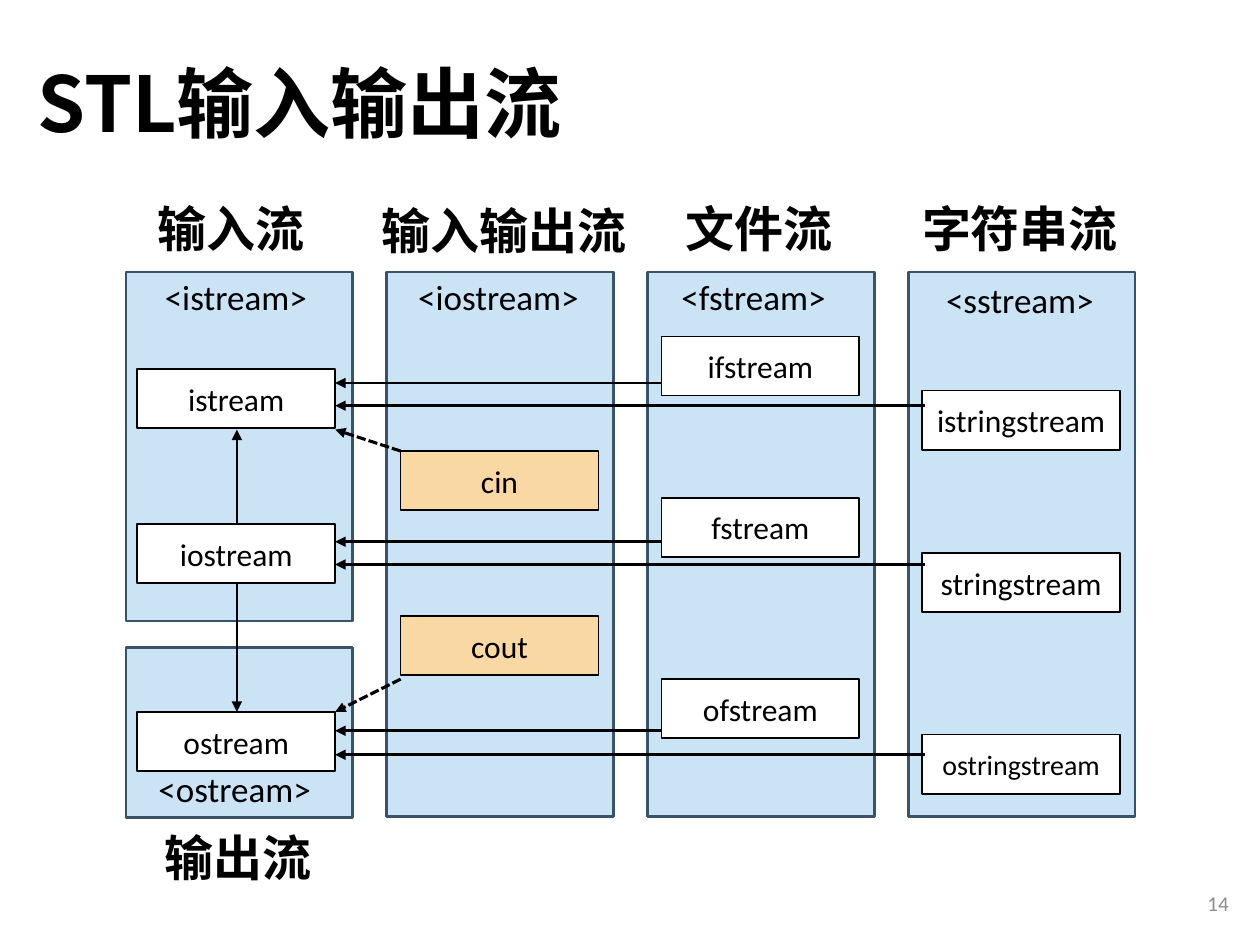
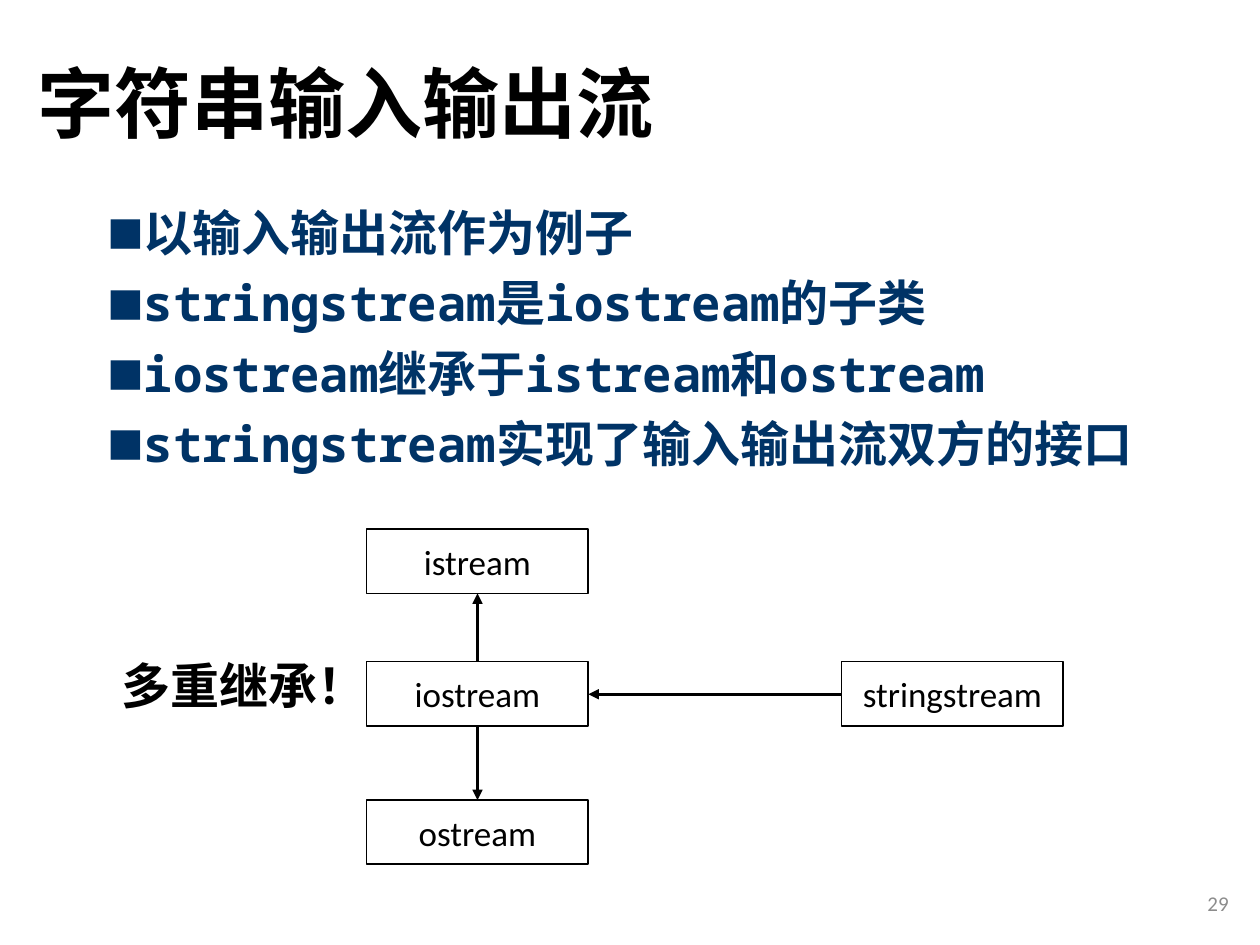
from lxml import etree
from pptx import Presentation
from pptx.dml.color import RGBColor
from pptx.enum.dml import MSO_LINE
from pptx.enum.shapes import MSO_CONNECTOR, MSO_SHAPE
from pptx.enum.text import MSO_ANCHOR, MSO_AUTO_SIZE, PP_ALIGN
from pptx.oxml.ns import qn
from pptx.util import Inches, Pt

RECT = MSO_SHAPE.RECTANGLE
LINE = MSO_CONNECTOR.STRAIGHT
DASH = MSO_LINE.SQUARE_DOT
MIDDLE = MSO_ANCHOR.MIDDLE
LEFT, CENTER, RIGHT = PP_ALIGN.LEFT, PP_ALIGN.CENTER, PP_ALIGN.RIGHT
COLORS = {"black": "000000", "white": "FFFFFF", "panel": "CAE4F6",
          "edge": "3A536D", "object": "F9D8A3", "body": "003366",
          "number": "8C8C8C"}
SANS, HAN, MONO = "Calibri", "Noto Sans CJK SC", "Noto Sans Mono"


def style(frame, size, color="black", bold=False, font=SANS, align=LEFT):
    for para in frame.paragraphs:
        para.alignment = align
        for run in para.runs:
            run.font.size = Pt(size)
            run.font.bold = bold
            run.font.name = font
            run.font.color.rgb = RGBColor.from_string(COLORS[color])
            latin = run._r.get_or_add_rPr().find(qn("a:latin"))
            east = etree.Element(qn("a:ea"), typeface=HAN)
            latin.addnext(east)


def box(slide, x, y, w, h, fill, edge="black", width=1, text="", size=18):
    shape = slide.shapes.add_shape(RECT, Inches(x), Inches(y), Inches(w), Inches(h))
    shape.shadow.inherit = False
    shape.fill.solid()
    shape.fill.fore_color.rgb = RGBColor.from_string(COLORS[fill])
    shape.line.color.rgb = RGBColor.from_string(COLORS[edge])
    shape.line.width = Pt(width)
    shape.text_frame.text = text
    shape.text_frame.vertical_anchor = MIDDLE
    style(shape.text_frame, size, align=CENTER)


deck = Presentation()
deck.slide_width, deck.slide_height = Inches(10), Inches(7.5)

# Titles and page numbers
slides = []
for layout, text, page in [(5, "STL输入输出流", "14"), (1, "字符串输入输出流", "29")]:
    slide = deck.slides.add_slide(deck.slide_layouts[layout])
    slides.append(slide)
    title = slide.shapes.title
    title.left, title.top = Inches(0.2), Inches(0.13)
    title.width, title.height = Inches(8.62), Inches(1.45)
    frame = title.text_frame
    frame.text = text
    frame.auto_size = MSO_AUTO_SIZE.NONE
    frame.vertical_anchor = MIDDLE
    frame.paragraphs[0].line_spacing = 0.9
    style(frame, 44, bold=True, font=HAN)

    number = slide.shapes.add_textbox(Inches(7.6), Inches(6.97), Inches(2.25), Inches(0.4))
    number.text_frame.text = page
    number.text_frame.word_wrap = True
    number.text_frame.vertical_anchor = MIDDLE
    style(number.text_frame, 12, "number", align=RIGHT)
streams, strings = slides

# Header panels: four equal columns, the first split in two
cols = [1 + 2.07 * i for i in range(4)]
panels = [(cols[0], 2.16, 2.77), (cols[0], 5.14, 1.35)]
panels += [(x, 2.16, 4.32) for x in cols[1:]]
for x, y, h in panels:
    box(streams, x, y, 1.8, h, "panel", "edge", 1.5)

# Classes and objects, by column
groups = [
    (1.09, "white", [("istream", 2.93), ("iostream", 4.16), ("ostream", 5.65)]),
    (3.18, "object", [("cin", 3.58), ("cout", 4.89)]),
    (5.25, "white", [("ifstream", 2.67), ("fstream", 3.95), ("ofstream", 5.39)]),
    (7.32, "white", [("istringstream", 3.1), ("stringstream", 4.39),
                     ("ostringstream", 5.83)]),
]
for x, fill, names in groups:
    for name, y in names:
        size = 16 if name == "ostringstream" else 18
        box(streams, x, y, 1.57, 0.47, fill, text=name, size=size)

# Bullets
body = strings.placeholders[1]
body.left, body.top = Inches(0.75), Inches(1.61)
body.width, body.height = Inches(8.8), Inches(5.19)
frame = body.text_frame
frame.text = "\n".join([
    "以输入输出流作为例子",
    "stringstream是iostream的子类",
    "iostream继承于istream和ostream",
    "stringstream实现了输入输出流双方的接口",
])
frame.auto_size = MSO_AUTO_SIZE.NONE
style(frame, 28, "body", True, MONO)
for para in frame.paragraphs:
    para.line_spacing = 0.9
    para.space_before = Pt(10)
    props = para._p.get_or_add_pPr()
    props.set("marL", str(Inches(0.25)))
    props.set("indent", str(Inches(-0.25)))
    etree.SubElement(props, qn("a:buSzPct"), val="75000")
    etree.SubElement(props, qn("a:buFont"), typeface=HAN)
    etree.SubElement(props, qn("a:buChar"), char="■")

# Inheritance boxes
for name, x, y in [("istream", 2.91, 4.2), ("iostream", 2.91, 5.25),
                   ("ostream", 2.91, 6.35), ("stringstream", 6.68, 5.25)]:
    box(strings, x, y, 1.76, 0.51, "white", text=name, size=20)

# Free labels: headers are regular, captions are bold
labels = [
    (streams, 20, 0.44, [("<istream>", 1.21, 2.14, 1.34), ("<iostream>", 3.22, 2.14, 1.49),
                         ("<fstream>", 5.31, 2.14, 1.36), ("<sstream>", 7.41, 2.16, 1.39),
                         ("<ostream>", 1.16, 6.04, 1.43)]),
    (streams, 28, 0.57, [("输入流", 1.15, 1.53, 1.38), ("输入输出流", 2.93, 1.54, 2.17),
                         ("文件流", 5.34, 1.53, 1.38), ("字符串流", 7.22, 1.53, 1.77),
                         ("输出流", 1.21, 6.52, 1.38)]),
    (strings, 28, 0.57, [("多重继承！", 0.87, 5.15, 2.17)]),
]
for slide, size, h, items in labels:
    for text, x, y, w in items:
        label = slide.shapes.add_textbox(Inches(x), Inches(y), Inches(w), Inches(h))
        label.text_frame.text = text
        label.text_frame.word_wrap = False
        style(label.text_frame, size, bold=size == 28)

# Arrows, each from the derived class to its base
arrows = [(streams, 5.25, y, 2.66, y, False) for y in (3.04, 4.3, 5.8)]
arrows += [(streams, 7.34, y, 2.66, y, False) for y in (3.22, 4.48, 5.99)]
arrows += [
    (streams, 3.18, 3.58, 2.66, 3.41, True),
    (streams, 3.18, 5.39, 2.66, 5.65, True),
    (streams, 1.88, 4.16, 1.88, 3.41, False),
    (streams, 1.88, 4.63, 1.88, 5.65, False),
    (strings, 6.68, 5.51, 4.67, 5.51, False),
    (strings, 3.79, 5.25, 3.79, 4.71, False),
    (strings, 3.79, 5.76, 3.79, 6.35, False),
]
for slide, x1, y1, x2, y2, dashed in arrows:
    arrow = slide.shapes.add_connector(LINE, Inches(x1), Inches(y1), Inches(x2), Inches(y2))
    arrow.line.color.rgb = RGBColor.from_string(COLORS["black"])
    arrow.line.width = Pt(1.75 if dashed else 1.5)
    if dashed:
        arrow.line.dash_style = DASH
    etree.SubElement(arrow.line._get_or_add_ln(), qn("a:tailEnd"), type="triangle")
    etree.SubElement(arrow._element.spPr, qn("a:effectLst"))

deck.save("out.pptx")
